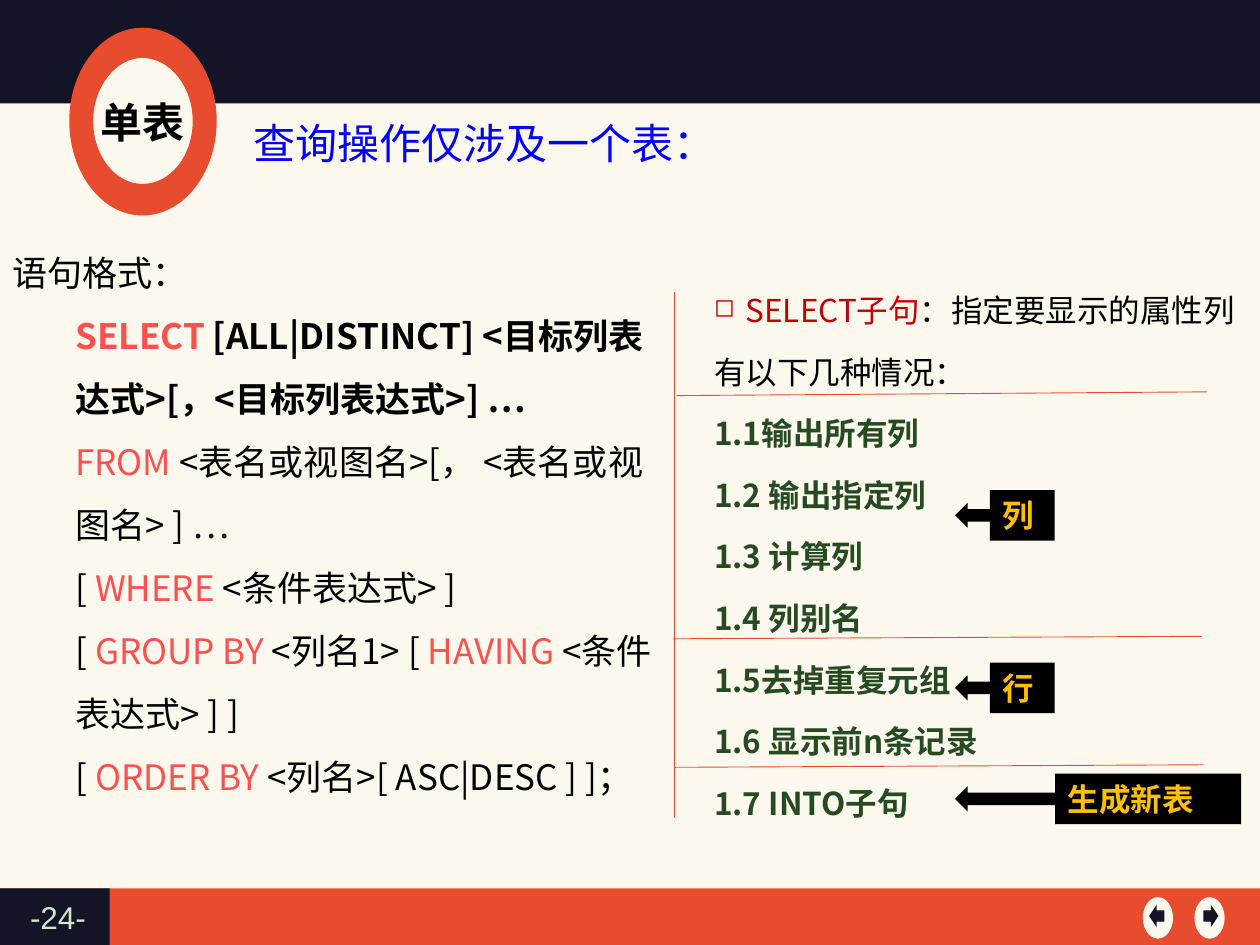
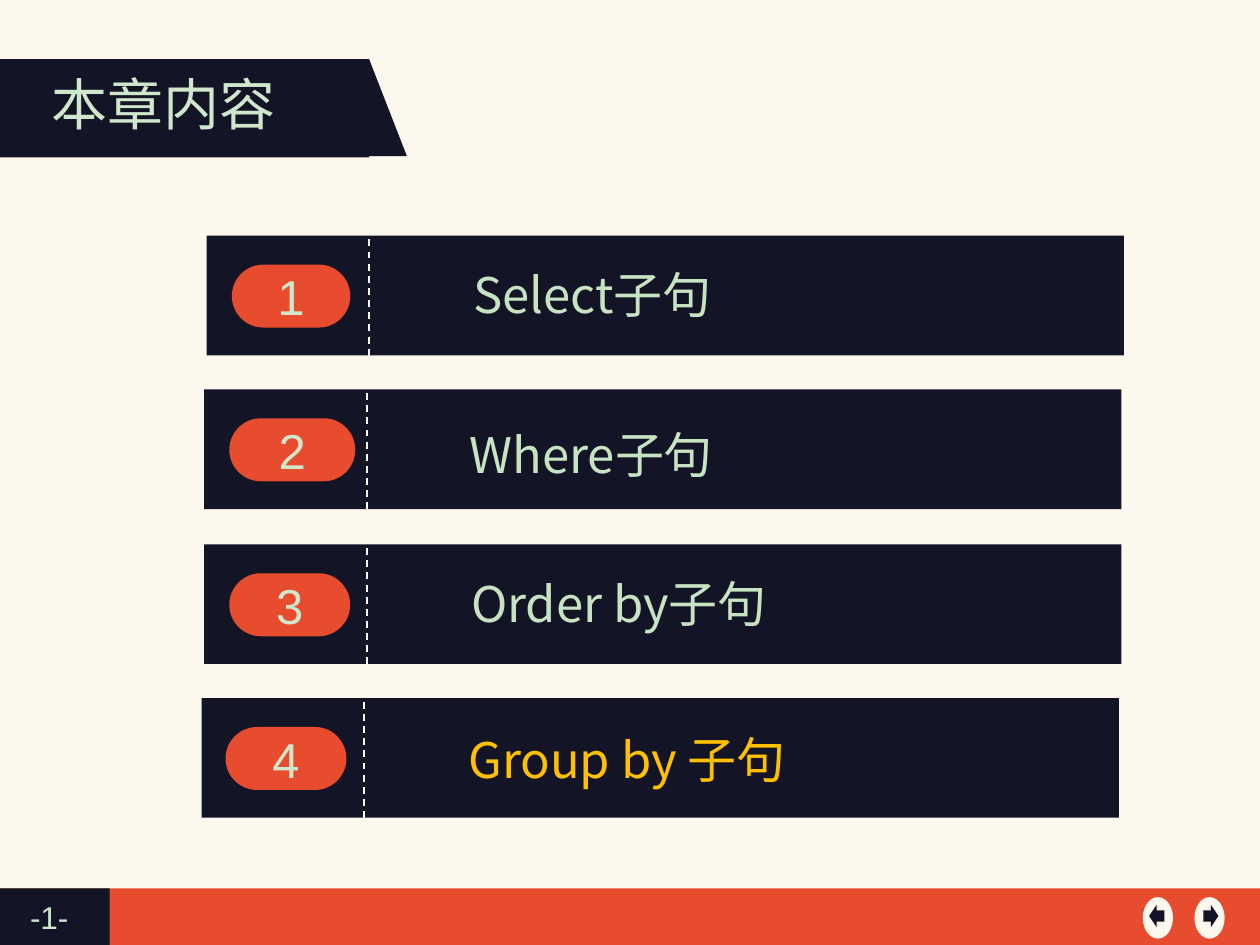
"""Build two SQL lecture slides: single-table queries and the chapter contents."""
from lxml import etree
from pptx import Presentation
from pptx.dml.color import RGBColor
from pptx.enum.dml import MSO_LINE
from pptx.enum.shapes import MSO_CONNECTOR, MSO_SHAPE
from pptx.enum.text import MSO_ANCHOR, MSO_AUTO_SIZE, PP_ALIGN
from pptx.oxml.ns import qn
from pptx.util import Inches, Pt

NAVY = RGBColor(0x13, 0x14, 0x26)
ORANGE = RGBColor(0xE7, 0x4C, 0x2E)
CREAM = RGBColor(0xFC, 0xF8, 0xED)
MINT = RGBColor(0xCF, 0xE8, 0xCC)
LABEL = RGBColor(0xC6, 0xE4, 0xC2)
GOLD = RGBColor(0xFF, 0xC0, 0x00)
BLACK = RGBColor(0x00, 0x00, 0x00)
BLUE = RGBColor(0x00, 0x00, 0xFF)
KEYWORD = RGBColor(0xFF, 0x50, 0x50)
CRIMSON = RGBColor(0xC0, 0x00, 0x00)
GREEN = RGBColor(0x26, 0x4B, 0x22)
CJK, ARIAL = "Noto Sans CJK SC", "Arial"
RECT, OVAL, PILL = MSO_SHAPE.RECTANGLE, MSO_SHAPE.OVAL, MSO_SHAPE.ROUNDED_RECTANGLE
LEFT_ARROW, RIGHT_ARROW = MSO_SHAPE.LEFT_ARROW, MSO_SHAPE.RIGHT_ARROW
CALLOUT, TRIANGLE = MSO_SHAPE.LEFT_ARROW_CALLOUT, MSO_SHAPE.RIGHT_TRIANGLE
LEFT, CENTER = PP_ALIGN.LEFT, PP_ALIGN.CENTER
TOP, MIDDLE = MSO_ANCHOR.TOP, MSO_ANCHOR.MIDDLE
NO_FIT, STRAIGHT, DASH = MSO_AUTO_SIZE.NONE, MSO_CONNECTOR.STRAIGHT, MSO_LINE.DASH


def style(r, size, color, bold=False, font=CJK):
    """Format one run."""
    r.font.size, r.font.bold = Pt(size), bold
    r.font.color.rgb = color
    r.font.name = font
    etree.SubElement(r.font._element, qn("a:ea")).set("typeface", font)


def add_box(s, kind, x, y, w, h, fill=None):
    """Add a plain filled shape, or a wrapping text box when kind is None."""
    at = [Inches(v) for v in (x, y, w, h)]
    if kind is None:
        sp = s.shapes.add_textbox(*at)
        sp.text_frame.word_wrap = True
        return sp
    sp = s.shapes.add_shape(kind, *at)
    sp.shadow.inherit = False
    sp.fill.solid()
    sp.fill.fore_color.rgb = fill
    sp.line.fill.background()
    return sp


prs = Presentation()
prs.slide_width, prs.slide_height = Inches(10), Inches(7.5)
master = prs.slide_master
master.background.fill.solid()
master.background.fill.fore_color.rgb = MINT
query, contents = [prs.slides.add_slide(prs.slide_layouts[5]) for _ in range(2)]

for i, (y, width, height, color) in enumerate([
    (0, 10, 7.5, CREAM), (7.05, 10, 0.46, ORANGE), (7.05, 0.87, 0.46, NAVY),
]):
    panel = add_box(query, RECT, 0, y, width, height, color).element
    panel.xpath("./p:nvSpPr/p:cNvPr")[0].set("id", str(100 + i))
    master.shapes.element.insert(2 + i, panel)

for s, number in [(query, "-24-"), (contents, "-1-")]:
    for x, arrow_x, arrow in [(9.07, 9.12, LEFT_ARROW), (9.48, 9.55, RIGHT_ARROW)]:
        add_box(s, OVAL, x, 7.12, 0.24, 0.33, CREAM)
        add_box(s, arrow, arrow_x, 7.18, 0.12, 0.18, NAVY)
    sp = add_box(s, None, 0.14, 7.08, 0.76, 0.4)
    sp.text_frame.text = number
    style(sp.text_frame.paragraphs[0].runs[0], 18, MINT, font=ARIAL)

header = [
    (0, -0.03), (10, -0.03), (10, 0.82), (1.56, 0.82), (1.56, 0.8),
    (1.52, 0.51), (1.33, 0.29), (1.1, 0.29),
    (0.87, 0.29), (0.68, 0.51), (0.64, 0.8), (0.63, 0.82), (0, 0.82),
]
outer = [
    (1.13, 0.22), (1.46, 0.22), (1.72, 0.55), (1.72, 0.96),
    (1.72, 1.37), (1.46, 1.71), (1.13, 1.71),
    (0.81, 1.71), (0.55, 1.37), (0.55, 0.96),
    (0.55, 0.55), (0.81, 0.22), (1.13, 0.22),
]
inner = [
    (1.13, 0.46), (0.92, 0.46), (0.74, 0.69), (0.74, 0.96),
    (0.74, 1.24), (0.92, 1.46), (1.13, 1.46),
    (1.35, 1.46), (1.53, 1.24), (1.53, 0.96),
    (1.53, 0.69), (1.35, 0.46), (1.13, 0.46),
]
outlines = []
for contours, curve_starts, color in [
    ([header], (4, 7), NAVY),
    ([outer, inner], (0, 3, 6, 9, 12, 15, 18, 21), ORANGE),
]:
    contours = [[(Inches(x), Inches(y)) for x, y in points] for points in contours]
    fb = query.shapes.build_freeform(*contours[0][0], scale=1.0)
    for i, points in enumerate(contours):
        if i:
            fb.move_to(*points[0])
        fb.add_line_segments(points[1:])
    sp = fb.convert_to_shape()
    segments = list(sp.element.iter(qn("a:lnTo")))
    for start in curve_starts:
        curve = etree.Element(qn("a:cubicBezTo"))
        segments[start].addprevious(curve)
        for segment in segments[start:start + 3]:
            curve.append(segment[0])
            segment.getparent().remove(segment)
    sp.shadow.inherit = False
    sp.fill.solid()
    sp.fill.fore_color.rgb = color
    sp.line.fill.background()
    outlines.append(sp)
tf = outlines[1].text_frame
tf.text, tf.vertical_anchor = "单表", MIDDLE
tf.paragraphs[0].alignment = CENTER
style(tf.paragraphs[0].runs[0], 24, BLACK, True)

syntax = [
    [("语句格式：", BLACK)],
    [("SELECT", KEYWORD), (" [ALL|DISTINCT] <目标列表达式>[，<目标列表达式>] …", BLACK)],
    [("FROM", KEYWORD), (" <表名或视图名>[， <表名或视图名> ] …", BLACK)],
    [("[ ", BLACK), ("WHERE", KEYWORD), (" <条件表达式> ]", BLACK)],
    [("[ ", BLACK), ("GROUP BY", KEYWORD), (" <列名1> [", BLACK),
     (" HAVING", KEYWORD), (" <条件表达式> ] ]", BLACK)],
    [("[ ", BLACK), ("ORDER BY", KEYWORD), (" <列名>[ ASC|DESC ] ]；", BLACK)],
]
cases = [
    [("SELECT子句", CRIMSON), ("：指定要显示的属性列", BLACK)],
    [("有以下几种情况：", BLACK)],
] + [[(text, GREEN)] for text in (
    "1.1输出所有列", "1.2 输出指定列", "1.3 计算列", "1.4 列别名",
    "1.5去掉重复元组", "1.6 显示前n条记录", "1.7 INTO子句")]

for rows, at, size, spacing, before, margin, indent in [
    (syntax, (0, 1.78, 5.46, 5.1), 20, 1.5, 0, 0.5, 0),
    (cases, (5.07, 2.14, 4.93, 4.67), 18, 1.4, 5, 0.75, -0.25),
]:
    tf = add_box(query, None, *at).text_frame
    for i, row in enumerate(rows):
        p = tf.add_paragraph() if i else tf.paragraphs[0]
        p.line_spacing, p.space_before = spacing, Pt(before)
        if rows is cases or i:
            pPr = p._p.get_or_add_pPr()
            pPr.set("marL", str(Inches(margin)))
            pPr.set("indent", str(Inches(indent)))
        for text, color in row:
            r = p.add_run()
            r.text = text
            style(r, size, color, color == GREEN or (rows is syntax and i == 1))
    if rows is cases:
        pPr = tf.paragraphs[0]._p.get_or_add_pPr()
        bullet_color = etree.SubElement(pPr, qn("a:buClr"))
        etree.SubElement(bullet_color, qn("a:srgbClr")).set("val", str(CRIMSON))
        etree.SubElement(pPr, qn("a:buSzPct")).set("val", "80000")
        etree.SubElement(pPr, qn("a:buChar")).set("char", "◻")

for text, y, width in [("列", 3.89, 0.79), ("行", 5.26, 0.79), ("生成新表", 6.14, 2.27)]:
    tf = add_box(query, CALLOUT, 7.58, y, width, 0.4, BLACK).text_frame
    tf.text, tf.vertical_anchor = text, TOP
    tf.paragraphs[0].alignment = LEFT
    style(tf.paragraphs[0].runs[0], 18, GOLD, True)

lines = [
    (query, 5.35, 2.32, 5.35, 6.49),
    (query, 9.58, 3.11, 5.37, 3.14),
    (query, 9.54, 5.05, 5.34, 5.07),
    (query, 9.55, 6.07, 5.35, 6.09),
]

add_box(contents, RECT, 0, 0.47, 2.93, 0.78, NAVY)
add_box(contents, TRIANGLE, 2.93, 0.47, 0.3, 0.77, NAVY)
chapters = [
    ("Select子句", LABEL, 1.64, 1.87, 1.84, 0.94, 3.66, 2.05),
    ("Where子句", LABEL, 1.62, 3.09, 1.82, 1, 3.63, 3.32),
    ("Order by子句", LABEL, 1.62, 4.32, 1.82, 0.96, 3.64, 4.5),
    ("Group by 子句", GOLD, 1.6, 5.54, 1.79, 0.96, 3.62, 5.74),
]
for i, (text, color, x, y, badge_x, badge_width, label_x, label_y) in enumerate(chapters):
    add_box(contents, RECT, x, y, 7.28, 0.95, NAVY)
    badge = add_box(contents, PILL, badge_x, y + 0.23, badge_width, 0.5, ORANGE)
    badge.adjustments[0] = 0.5
    badge.text_frame.text = str(i + 1)
    badge.text_frame.paragraphs[0].alignment = CENTER
    style(badge.text_frame.paragraphs[0].runs[0], 28, MINT, font=ARIAL)
    label = add_box(contents, None, label_x, label_y, 4.9, 0.57)
    label.text_frame.text = text
    style(label.text_frame.paragraphs[0].runs[0], 28, color)
    lines.append((contents, x + 1.29, y + 0.03, x + 1.29, y + 0.99))

for s, *ends in lines:
    line = s.shapes.add_connector(STRAIGHT, *[Inches(v) for v in ends])
    line.line.color.rgb = ORANGE if s is query else CREAM
    line.line.width = Pt(0.5 if s is query else 1)
    if s is contents:
        line.line.dash_style = DASH
    etree.SubElement(line.element.spPr, qn("a:effectLst"))

for s, text, at, size, color, align in [
    (query, "查询操作仅涉及一个表：", (1.91, 0.88, 3.99, 0.5), 24, BLUE, LEFT),
    (contents, "本章内容", (0.25, 0.5, 2.1, 0.64), 32, MINT, CENTER),
]:
    title = s.shapes.title
    title.left, title.top, title.width, title.height = [Inches(v) for v in at]
    tf = title.text_frame
    tf.text, tf.auto_size, tf.vertical_anchor = text, NO_FIT, TOP
    tf.paragraphs[0].alignment = align
    style(tf.paragraphs[0].runs[0], size, color)
    s.shapes.element.append(title.element)

prs.save("out.pptx")
